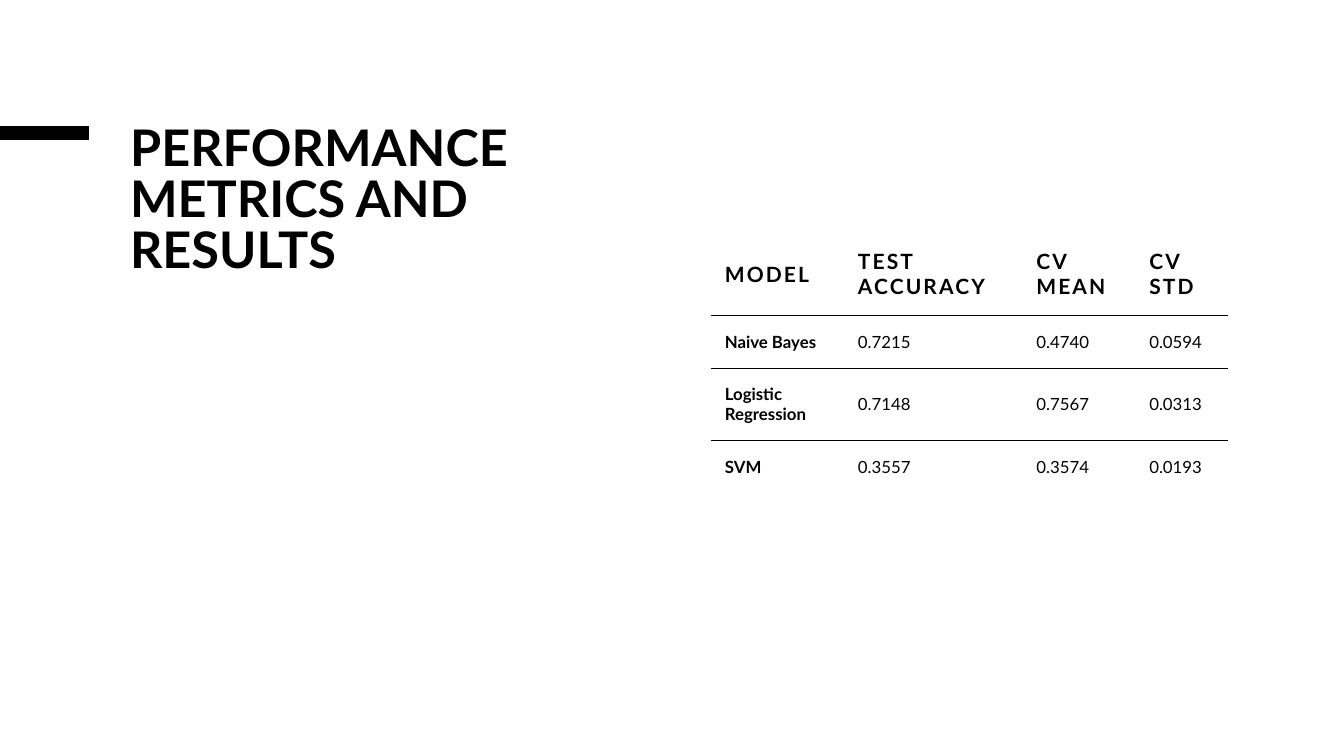
from lxml import etree
from pptx import Presentation
from pptx.dml.color import RGBColor
from pptx.enum.shapes import MSO_CONNECTOR
from pptx.enum.text import MSO_ANCHOR, MSO_AUTO_SIZE, PP_ALIGN
from pptx.oxml.ns import qn
from pptx.util import Inches, Pt

COLORS = {"ink": "000000", "paper": "FFFFFF"}
FONT = "Lato"
NO_GRID_STYLE = "{2D5ABB26-0587-4C30-8999-92F81FD0307C}"
TITLE_FORMAT = {"size": Pt(36), "bold": True}
HEADER_FORMAT = {"size": Pt(15), "bold": True}
MODEL_FORMAT = {"size": Pt(12), "bold": True}
VALUE_FORMAT = {"size": Pt(12), "bold": False}
CELL_FORMAT = {
    "vertical_anchor": MSO_ANCHOR.MIDDLE,
    **{f"margin_{side}": Inches(0.14) for side in ("left", "right", "top", "bottom")},
}
COLUMN_WIDTHS = (1.32, 1.77, 1.12, 0.92)
ROW_HEIGHTS = (0.82, 0.52, 0.72, 0.52)
RESULTS = (
    ("MODEL", "TEST ACCURACY", "CV MEAN", "CV STD"),
    ("Naive Bayes", "0.7215", "0.4740", "0.0594"),
    ("Logistic Regression", "0.7148", "0.7567", "0.0313"),
    ("SVM", "0.3557", "0.3574", "0.0193"),
)


def color(name):
    return RGBColor.from_string(COLORS[name])


def apply(target, values):
    for name, value in values.items():
        setattr(target, name, value)


class SlideBuilder:
    def __init__(self, slide):
        self.slide = slide
        slide.background.fill.solid()
        slide.background.fill.fore_color.rgb = color("paper")

    def add_text(self, frame, text, font_format):
        para = frame.paragraphs[0]
        span = para.add_run()
        span.text = text
        apply(span.font, {"name": FONT, **font_format})
        span.font.color.rgb = color("ink")
        return para, span

    def title(self, text, left, top, width, height):
        box = self.slide.shapes.title
        apply(box, {"left": Inches(left), "top": Inches(top),
                    "width": Inches(width), "height": Inches(height)})
        apply(box.text_frame, {"word_wrap": True, "auto_size": MSO_AUTO_SIZE.NONE,
                               "vertical_anchor": MSO_ANCHOR.TOP})
        para, _ = self.add_text(box.text_frame, text, TITLE_FORMAT)
        apply(para, {"alignment": PP_ALIGN.LEFT, "line_spacing": 0.85})

    def accent_bar(self, start, end, y, weight):
        bar = self.slide.shapes.add_connector(
            MSO_CONNECTOR.STRAIGHT, Inches(start), Inches(y), Inches(end), Inches(y))
        bar.line.width = Pt(weight)
        bar.line.color.rgb = color("ink")
        etree.SubElement(bar._element.spPr, qn("a:effectLst"))

    def border(self, cell, side):
        properties = cell._tc.get_or_add_tcPr()
        line = etree.SubElement(properties, qn(f"a:ln{side}"), w=str(Pt(0.5)))
        fill = etree.SubElement(line, qn("a:solidFill"))
        etree.SubElement(fill, qn("a:srgbClr"), val=COLORS["ink"])

    def table(self, rows, left, top):
        """Add a table ruled only between its rows."""
        frame = self.slide.shapes.add_table(
            len(rows), len(rows[0]), Inches(left), Inches(top),
            Inches(sum(COLUMN_WIDTHS)), Inches(sum(ROW_HEIGHTS)))
        table = frame.table
        apply(table, {"first_row": False, "horz_banding": False})
        table._tbl.tblPr.find(qn("a:tableStyleId")).text = NO_GRID_STYLE
        for column, width in zip(table.columns, COLUMN_WIDTHS):
            column.width = Inches(width)
        for row, height in zip(table.rows, ROW_HEIGHTS):
            row.height = Inches(height)
        for r, texts in enumerate(rows):
            for c, text in enumerate(texts):
                cell = table.cell(r, c)
                apply(cell, CELL_FORMAT)
                if r > 0:
                    self.border(cell, "T")
                if r < len(rows) - 1:
                    self.border(cell, "B")
                cell.fill.background()
                if r == 0:
                    _, span = self.add_text(cell.text_frame, text, HEADER_FORMAT)
                    span._r.get_or_add_rPr().set("spc", "150")
                else:
                    self.add_text(cell.text_frame, text, VALUE_FORMAT if c else MODEL_FORMAT)


def main():
    deck = Presentation()
    apply(deck, {"slide_width": Inches(13.33), "slide_height": Inches(7.5)})
    title_only = deck.slide_layouts[5]
    builder = SlideBuilder(deck.slides.add_slide(title_only))
    builder.accent_bar(0, 0.88, 1.32, 9.5)
    builder.title("PERFORMANCE METRICS AND RESULTS", 1.19, 1.19, 5.1, 1.83)
    builder.table(RESULTS, 7.05, 2.31)
    deck.save("out.pptx")


if __name__ == "__main__":
    main()
